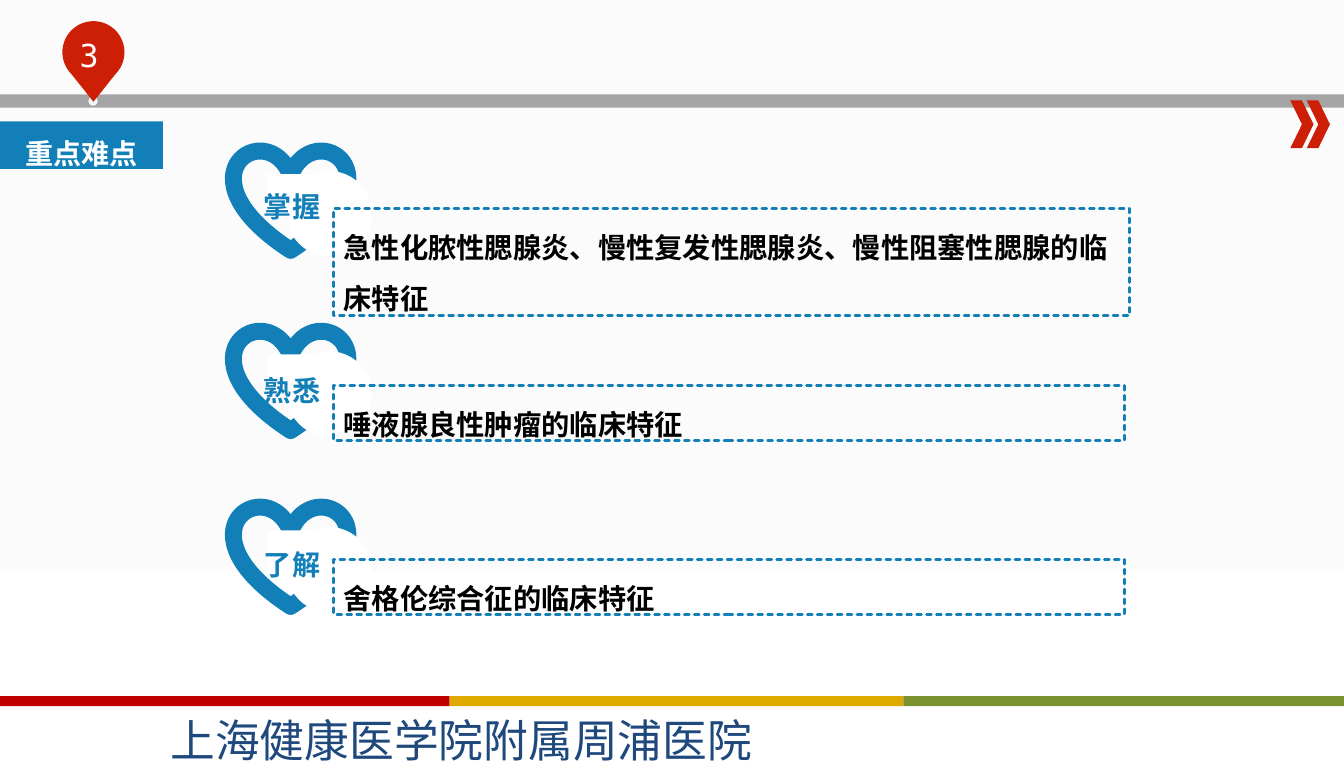
from math import cos, sin, radians
from lxml import etree
from pptx import Presentation
from pptx.util import Cm, Pt
from pptx.dml.color import RGBColor
from pptx.enum.dml import MSO_LINE_DASH_STYLE as Dash
from pptx.enum.shapes import MSO_SHAPE as Shape
from pptx.enum.text import MSO_ANCHOR as Anchor, MSO_AUTO_SIZE as Fit, PP_ALIGN as Align
from pptx.oxml.ns import qn

BLUE, RED = "127FB8", "CD1F06"
SANS, SERIF, MONO = "Noto Sans CJK SC", "Times New Roman", "DejaVu Sans Mono"
WIDE, HIGH = 33.57, 19.05


def rgb(code):
    return RGBColor.from_string(code)


def paint(part, fill=None, line=None, width=1):
    part.shadow.inherit = False
    if fill:
        part.fill.solid()
        part.fill.fore_color.rgb = rgb(fill)
    else:
        part.fill.background()
    if line:
        part.line.color.rgb = rgb(line)
        part.line.width = Pt(width)
    else:
        part.line.fill.background()
    return part


def draw(shapes, kind, box, fill=None, line=None, width=1):
    part = shapes.add_shape(kind, *[Cm(n) for n in box])
    return paint(part, fill, line, width)


def write(part, text, size, color, face=SANS, bold=False, align=Align.CENTER,
          anchor=Anchor.MIDDLE, space=1.5, wrap=True):
    frame = part.text_frame
    frame.auto_size = Fit.NONE
    frame.word_wrap = wrap
    frame.vertical_anchor = anchor
    para = frame.paragraphs[0]
    para.alignment = align
    para.line_spacing = space
    run = para.add_run()
    run.text = text
    font = run.font
    font.size, font.bold, font.name = Pt(size), bold, face
    font.color.rgb = rgb(color)
    east = etree.SubElement(run._r.get_or_add_rPr(), qn("a:ea"))
    east.set("typeface", SANS)


def label(shapes, box, text, size, color, **style):
    part = shapes.add_textbox(*[Cm(n) for n in box])
    write(part, text, size, color, **style)


def back(slide):
    fill = slide.background.fill
    fill.gradient()
    fill.gradient_angle = 270
    for stop, (place, color) in zip(fill.gradient_stops, [(0.5, "FBFBFB"), (1, "FFFFFF")]):
        stop.position = place
        stop.color.rgb = rgb(color)


def header(slide, x, y, w, h):
    shapes = slide.shapes
    draw(shapes, Shape.RECTANGLE, (x, y, w, h), "A5A5A5")
    # Double arrow at the right
    for gap in (1.34, 0.93):
        draw(shapes, Shape.CHEVRON, (x + w - gap, y + 0.15, 0.58, 1.19), RED)
    # Pin with the page number
    draw(shapes, Shape.OVAL, (x + 2.21, y + 0.05, 0.23, 0.23), "F6F6F6")
    pin(shapes, x + 1.56, y - 1.83, 1.55, 2.01)
    label(shapes, (x + 1.14, y - 1.58, 2.18, 1.04), "3", 22.4, "FFFFFF",
          face=MONO, anchor=Anchor.TOP, space=1)


def pin(shapes, x, y, w, h):
    r = w / 2
    arc = [(Cm(x + r + r * cos(radians(a))), Cm(y + r + r * sin(radians(a))))
           for a in range(135, 406, 5)]
    path = shapes.build_freeform(*arc[0])
    path.add_line_segments(arc[1:] + [(Cm(x + r), Cm(y + h))], close=True)
    paint(path.convert_to_shape(), RED)


def title(slide, x, y, w, h):
    part = slide.shapes.title
    part.left, part.top, part.width, part.height = Cm(x), Cm(y), Cm(w), Cm(h)
    part.fill.solid()
    part.fill.fore_color.rgb = rgb(BLUE)
    write(part, "重点难点", 19.9, "FFFFFF", face=SERIF, bold=True)


def heart(slide, x, y, w, h, text, mask, drop):
    group = slide.shapes.add_group_shape().shapes
    draw(group, Shape.HEART, (x, y, w, h), line=BLUE, width=12)
    # White parts open the outline for the label
    draw(group, Shape.OVAL, (x + 1.32, y + 0.53, 2.13, 2.13), "FFFFFF")
    draw(group, Shape.RECTANGLE, (x + 0.84, y + 0.61, 1.14, mask), "FFFFFF")
    label(group, (x - 0.12, y + drop, 3.15, 1.19), text, 19.9, BLUE, face=SERIF, bold=True)


def goal(slide, x, y, w, h, text):
    part = draw(slide.shapes, Shape.RECTANGLE, (x, y, w, h), line=BLUE, width=1.75)
    part.line.dash_style = Dash.SQUARE_DOT
    # Round dash ends
    part._element.spPr.find(qn("a:ln")).set("cap", "rnd")
    write(part, text, 20, "000000", bold=True, align=Align.LEFT, anchor=Anchor.TOP)


def footer(slide, x, y, w, h):
    # Three colour bands
    group = slide.shapes.add_group_shape().shapes
    for i, color in enumerate(("C00000", "DEA900", "7C912F")):
        draw(group, Shape.RECTANGLE, (x + i * w / 3, y, w / 3, h), color)
    label(slide.shapes, (x + 4.11, y + 0.29, 15.04, 1.6), "上海健康医学院附属周浦医院",
          31.7, "1F497D", align=Align.LEFT, anchor=Anchor.TOP, space=1, wrap=False)


def main():
    deck = Presentation()
    deck.slide_width, deck.slide_height = Cm(WIDE), Cm(HIGH)
    slide = deck.slides.add_slide(deck.slide_layouts[5])
    back(slide)
    header(slide, 0, 2.36, WIDE, 0.33)
    footer(slide, -0.1, 17.38, 34, 0.25)
    title(slide, 0, 3.03, 4.07, 1.19)
    # Label, heart top, mask height, label drop, box top, width, height, goal
    rows = [
        ("掌握", 3.74, 0.89, 0.61, 5.21, 19.89, 2.67,
         "急性化脓性腮腺炎、慢性复发性腮腺炎、慢性阻塞性腮腺的临床特征"),
        ("熟悉", 8.24, 0.58, 0.69, 9.63, 19.76, 1.37, "唾液腺良性肿瘤的临床特征"),
        ("了解", 12.63, 1.17, 0.66, 13.97, 19.76, 1.37, "舍格伦综合征的临床特征"),
    ]
    for name, top, mask, drop, y, w, h, text in rows:
        heart(slide, 5.84, top, 2.84, 2.51, name, mask, drop)
        goal(slide, 8.33, y, w, h, text)
    deck.save("out.pptx")


if __name__ == "__main__":
    main()
